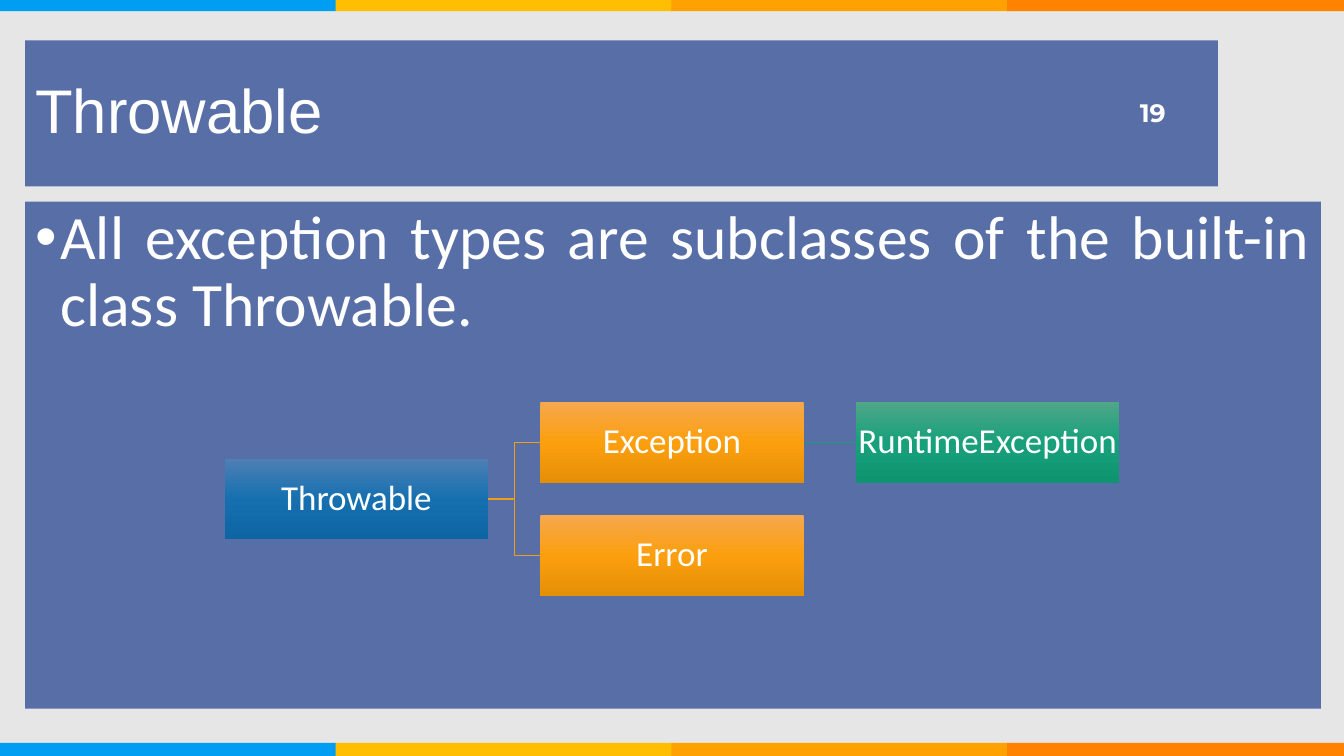
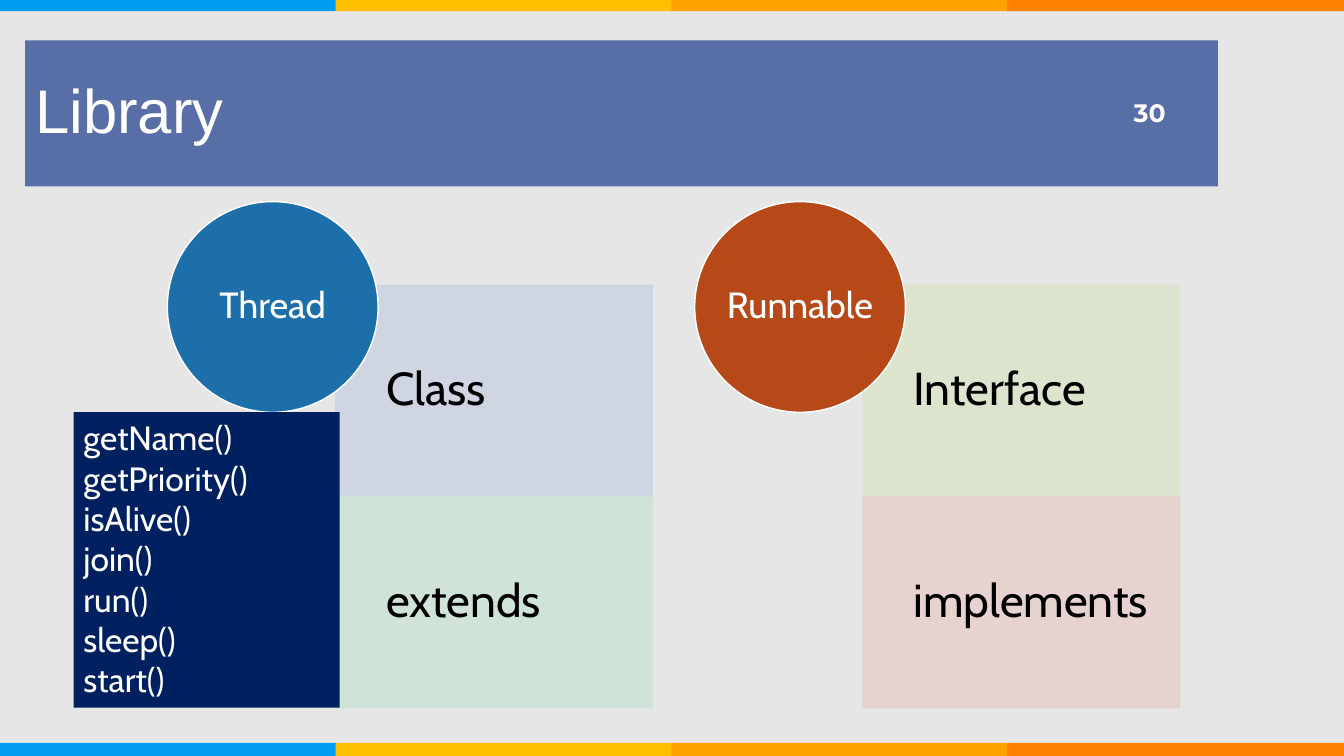
from copy import deepcopy
from lxml.etree import SubElement
from pptx import Presentation
from pptx.dml.color import RGBColor
from pptx.enum.shapes import MSO_CONNECTOR, MSO_SHAPE
from pptx.enum.text import MSO_ANCHOR, MSO_AUTO_SIZE, PP_ALIGN
from pptx.oxml.ns import qn
from pptx.util import Pt

PX = 9144
WHITE = "FFFFFF"
BLUE = "586EA6"
BANDS = ["009EF3", "FFBF00", "FFA100", "FF8200"]
RECT = MSO_SHAPE.RECTANGLE
LEFT, MID, RIGHT = PP_ALIGN.LEFT, PP_ALIGN.CENTER, PP_ALIGN.RIGHT


def hue(code):
    return RGBColor.from_string(code)


def put(page, kind, spot, fill=None, text="", size=24, face="Cabin", ink=WHITE,
        align=LEFT, anchor=MSO_ANCHOR.MIDDLE, pad=(10, 5, 10, 5), gap=None):
    area = [n * PX for n in spot]
    if kind == "title":
        shape = page.shapes.title
        shape.left, shape.top, shape.width, shape.height = area
    elif kind == "text":
        shape = page.shapes.add_textbox(*area)
    else:
        shape = page.shapes.add_shape(kind, *area)
        shape.shadow.inherit = False
        shape.line.fill.background()
    if fill:
        shape.fill.solid()
        shape.fill.fore_color.rgb = hue(fill)
    frame = shape.text_frame
    frame.text = text
    frame.word_wrap = True
    frame.auto_size = MSO_AUTO_SIZE.NONE
    frame.vertical_anchor = anchor
    (frame.margin_left, frame.margin_top,
     frame.margin_right, frame.margin_bottom) = [n * PX for n in pad]
    for para in frame.paragraphs:
        para.alignment = align
        para.line_spacing = gap
        for run in para.runs:
            run.font.size = Pt(size)
            run.font.name = face
            run.font.color.rgb = hue(ink)
    return shape


deck = Presentation()
deck.slide_width, deck.slide_height = 1333 * PX, 750 * PX
back = deck.slide_master.background.fill
back.solid()
back.fore_color.rgb = hue("E7E6E6")

pages = []
for name, num in [("Throwable", "19"), ("Library", "30")]:
    page = deck.slides.add_slide(deck.slide_layouts[5])
    for top, high in [(0, 11), (737, 13)]:
        for i, code in enumerate(BANDS):
            put(page, RECT, (333 * i, top, 334, high), code)
    put(page, "title", (25, 40, 1183, 145), BLUE, name, 44, "Arial", gap=0.9)
    label = put(page, "text", (1109, 92, 57, 40), None, num, 18, "Montserrat", align=RIGHT)
    label.text_frame.paragraphs[0].runs[0].font.bold = True
    pages.append(page)
tree, board = pages

body = put(tree, RECT, (25, 200, 1285, 503), BLUE,
           "All exception types are subclasses of the built-in class Throwable.",
           44, "Calibri", align=PP_ALIGN.JUSTIFY, anchor=MSO_ANCHOR.TOP, gap=0.9)
para = body.text_frame.paragraphs[0]
para.space_before = Pt(10)
props = para._p.get_or_add_pPr()
props.set("marL", str(25 * PX))
props.set("indent", str(-25 * PX))
SubElement(props, qn("a:buFont")).set("typeface", "Arial")
SubElement(props, qn("a:buChar")).set("char", "•")

SHADES = [
    ("4E80B5", "1670B0", "0D65A3"),
    ("F5A84E", "FC9F0E", "E58F07"),
    ("4EA788", "17A07B", "0F9470"),
]
nodes = {}
for name, level, top in [("Throwable", 0, 455), ("Exception", 1, 399),
                         ("RuntimeException", 2, 399), ("Error", 1, 511)]:
    box = put(tree, RECT, (223 + 313 * level, top, 261, 80), BLUE, name, 25, "Calibri",
              align=MID, pad=(0, 2, 0, 2), gap=0.9)
    box.fill.gradient()
    box.fill.gradient_angle = 270
    stops = box._element.spPr.find(".//" + qn("a:gsLst"))
    stops.insert(1, deepcopy(stops[0]))
    for stop, place, code in zip(box.fill.gradient_stops, (0, 0.5, 1), SHADES[level]):
        stop.position = place
        stop.color.rgb = hue(code)
    nodes[name] = box

for start, end, kind, code in [
    ("Throwable", "Exception", MSO_CONNECTOR.ELBOW, "F19D19"),
    ("Throwable", "Error", MSO_CONNECTOR.ELBOW, "F19D19"),
    ("Exception", "RuntimeException", MSO_CONNECTOR.STRAIGHT, "1D9A78"),
]:
    link = tree.shapes.add_connector(kind, 0, 0, 0, 0)
    link.begin_connect(nodes[start], 3)
    link.end_connect(nodes[end], 1)
    link.line.color.rgb = hue(code)
    link.line.width = Pt(1)
    SubElement(link._element.spPr, qn("a:effectLst"))

for i, (name, code, cells) in enumerate([
    ("Thread", "1D6FA9", [("Class", "CDD5E2"), ("extends", "CDE3D7")]),
    ("Runnable", "B74919", [("Interface", "DDE4CC"), ("implements", "E6D0CC")]),
]):
    left = 166 + 523 * i
    for row, (text, tint) in enumerate(cells):
        cell = put(board, RECT, (left + 167, 283 + 210 * row, 314, 209), tint, text, 33,
                   ink="000000", pad=(50, 26, 26, 26), gap=0.9)
        cell.line.color.rgb = hue(tint)
        cell.line.width = Pt(1)
        for node in cell._element.spPr.iter(qn("a:srgbClr")):
            SubElement(node, qn("a:alpha")).set("val", "90000")
    disc = put(board, MSO_SHAPE.OVAL, (left, 200, 209, 209), code, name, 26,
               align=MID, pad=(0, 0, 0, 0), gap=0.9)
    disc.line.color.rgb = hue(WHITE)
    disc.line.width = Pt(1)

calls = ["getName", "getPriority", "isAlive", "join", "run", "sleep", "start"]
put(board, RECT, (73, 409, 264, 293), "002060", "\n".join(f"{call}()" for call in calls),
    anchor=MSO_ANCHOR.TOP)

deck.save("out.pptx")
